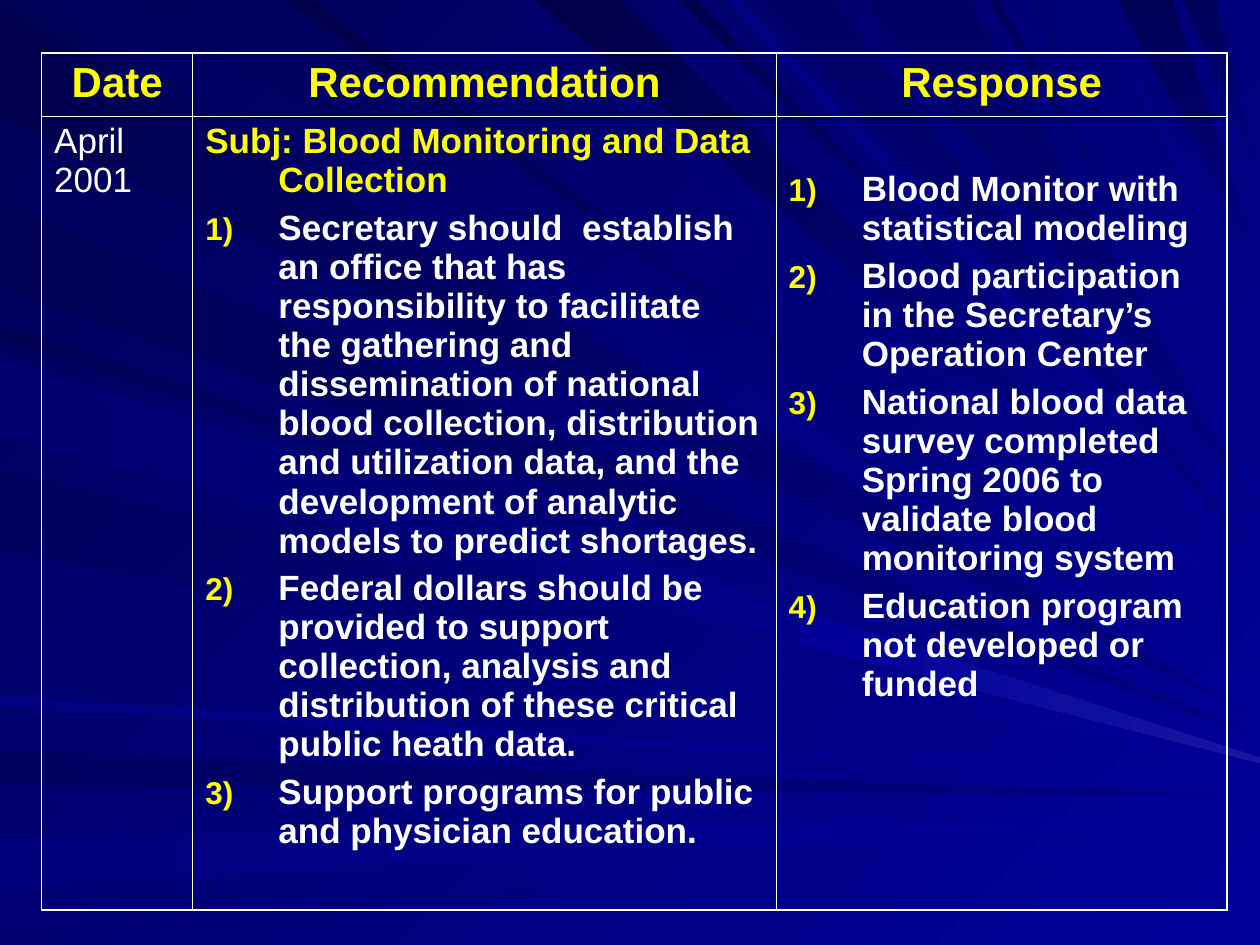
from dataclasses import dataclass

from lxml.etree import SubElement
from pptx import Presentation
from pptx.dml.color import RGBColor
from pptx.dml.fill import FillFormat
from pptx.enum.text import PP_ALIGN
from pptx.oxml.ns import qn
from pptx.util import Inches, Pt

FONT = "Arial"
YELLOW = RGBColor.from_string("FFFF00")
WHITE = RGBColor.from_string("FFFFFF")
ROYAL = RGBColor.from_string("000099")
NAVY = RGBColor.from_string("000080")
GLOW = RGBColor.from_string("1616A1")
MIDNIGHT = RGBColor.from_string("000057")

# Gradient directions, clockwise from the right
LEFT, UP_LEFT, UP = 180, 225, 270

SLIDE_W, SLIDE_H = 10, 7.5
OUTER_PT, INNER_PT = 1.08, 0.45
HANG = 0.58


@dataclass
class Ray:
    """A wedge from a stretch of the left or top edge to a tip on the right edge."""
    begin: float
    stop: float
    tip: float
    dark: str


@dataclass
class Fan:
    """Rays that start on the same edge and share a gradient direction."""
    from_top: bool
    light: RGBColor
    angle: int
    rays: list[Ray]


@dataclass
class Para:
    text: str
    color: RGBColor = WHITE
    size: int = 20
    bold: bool = True
    centered: bool = False
    hanging: bool = False
    numbered: bool = False


@dataclass
class CellText:
    paras: list[Para]
    top: float = 0.05


FANS = [
    Fan(False, NAVY, LEFT, [
        Ray(0.02, 0.93, 5.7, "000051"), Ray(5.96, 6.23, 6.32, "000060"),
        Ray(1.59, 2.28, 5.85, "000055")]),
    Fan(False, ROYAL, LEFT, [
        Ray(6.65, 7.04, 6.47, "00007C"), Ray(7.35, 7.5, 6.62, "00006E"),
        Ray(5.52, 5.6, 6.22, "000081")]),
    Fan(True, ROYAL, UP_LEFT, [
        Ray(0.26, 1.01, 5.63, "00005C"), Ray(3.98, 4.16, 5.18, "00006A"),
        Ray(4.26, 4.92, 4.93, "000046"), Ray(5.4, 5.52, 4.63, "00004E")]),
    Fan(True, NAVY, UP, [
        Ray(6.06, 6.61, 4.46, "000064"), Ray(8.87, 9.3, 2.1, "000055"),
        Ray(9.39, 9.64, 1.4, "000059"), Ray(6.86, 7.7, 4.1, "000064")]),
    Fan(False, ROYAL, UP_LEFT, [
        Ray(2.58, 2.7, 5.89, "000053"), Ray(2.78, 3.42, 6, "000060"),
        Ray(3.74, 4.37, 6.06, "00005C")]),
    Fan(True, ROYAL, UP_LEFT, [
        Ray(2.25, 2.47, 5.5, "00004A"), Ray(5.77, 5.88, 4.54, "000081"),
        Ray(7.85, 7.92, 3.57, "000057"), Ray(8.15, 8.24, 3.36, "00006E"),
        Ray(8.65, 8.72, 2.53, "000078")]),
    Fan(False, ROYAL, LEFT, [Ray(2.83, 3.47, 6.03, "00006E")]),
]
GLOW_WEDGE = [(6.37, 4.85), (6.33, 5.11), (SLIDE_W, 6.06), (SLIDE_W, 6.01)]

RECOMMENDATIONS = [
    "Secretary should  establish an office that has responsibility to facilitate the gathering and "
    "dissemination of national blood collection, distribution and utilization data, and the "
    "development of analytic models to predict shortages.",
    "Federal dollars should be provided to support collection, analysis and distribution of these "
    "critical public heath data.",
    "Support programs for public and physician education.",
]
RESPONSES = [
    "Blood Monitor with statistical modeling",
    "Blood participation in the Secretary’s Operation Center",
    "National blood data survey completed Spring 2006 to validate blood monitoring system",
    "Education program not developed or funded",
]


def numbered(items: list[str]) -> list[Para]:
    return [Para(item, hanging=True, numbered=True) for item in items]


SUBJECT = Para("Subj: Blood Monitoring and Data Collection", YELLOW, hanging=True)
ROWS = [
    [CellText([Para(title, YELLOW, size=24, centered=True)])
     for title in ("Date", "Recommendation", "Response")],
    [CellText([Para("April 2001", bold=False)]),
     CellText([SUBJECT] + numbered(RECOMMENDATIONS)),
     CellText(numbered(RESPONSES), top=0.43)],
]
COL_WIDTHS = [1.2, 4.63, 3.58]
ROW_HEIGHTS = [0.5, 6.3]


def set_gradient(fill: FillFormat, start: RGBColor, end: RGBColor, angle: int) -> None:
    fill.gradient()
    fill.gradient_angle = 360 - angle
    for stop, color in zip(fill.gradient_stops, (start, end)):
        stop.color.rgb = color


def draw_wedge(shapes, points: list[tuple[float, float]],
               start: RGBColor, end: RGBColor, angle: int) -> None:
    first, *rest = [(Inches(x), Inches(y)) for x, y in points]
    builder = shapes.build_freeform(*first)
    builder.add_line_segments(rest, close=True)
    sp = builder.convert_to_shape()
    sp.shadow.inherit = False
    sp.line.fill.background()
    set_gradient(sp.fill, start, end, angle)


def draw_fan(shapes, fan: Fan) -> None:
    for ray in fan.rays:
        ends = (ray.begin, ray.stop)
        base = [(end, 0) if fan.from_top else (0, end) for end in ends]
        draw_wedge(shapes, base + [(SLIDE_W, ray.tip)],
                   fan.light, RGBColor.from_string(ray.dark), fan.angle)


def add_border(cell, side: str, width: float) -> None:
    ln = SubElement(cell._tc.get_or_add_tcPr(), qn(f"a:ln{side}"), w=str(Pt(width)))
    SubElement(SubElement(ln, qn("a:solidFill")), qn("a:srgbClr"), val=str(WHITE))


def write_para(p, para: Para, first: bool) -> None:
    pPr = p._p.get_or_add_pPr()
    if para.hanging:
        pPr.set("marL", str(Inches(HANG)))
        pPr.set("indent", str(-Inches(HANG)))
    if para.numbered:
        SubElement(SubElement(pPr, qn("a:buClr")), qn("a:srgbClr"), val=str(YELLOW))
        SubElement(pPr, qn("a:buSzPct"), val="90000")
        SubElement(pPr, qn("a:buAutoNum"), type="arabicParenR")
    p.alignment = PP_ALIGN.CENTER if para.centered else PP_ALIGN.LEFT
    p.space_before = Pt(0 if first else 5)
    r = p.add_run()
    r.text = para.text
    r.font.name, r.font.size, r.font.bold = FONT, Pt(para.size), para.bold
    r.font.color.rgb = para.color


def draw_table(shapes) -> None:
    table = shapes.add_table(len(ROW_HEIGHTS), len(COL_WIDTHS), Inches(0.33), Inches(0.42),
                             Inches(sum(COL_WIDTHS)), Inches(sum(ROW_HEIGHTS))).table
    table.first_row = table.horz_banding = False
    for column, width in zip(table.columns, COL_WIDTHS):
        column.width = Inches(width)
    for row, height in zip(table.rows, ROW_HEIGHTS):
        row.height = Inches(height)
    last_row, last_col = len(ROW_HEIGHTS) - 1, len(COL_WIDTHS) - 1
    for i, row in enumerate(ROWS):
        for j, content in enumerate(row):
            cell = table.cell(i, j)
            outer = {"L": j == 0, "R": j == last_col, "T": i == 0, "B": i == last_row}
            for side, is_outer in outer.items():
                add_border(cell, side, OUTER_PT if is_outer else INNER_PT)
            cell.fill.background()
            cell.margin_top = Inches(content.top)
            tf = cell.text_frame
            for k, para in enumerate(content.paras):
                write_para(tf.add_paragraph() if k else tf.paragraphs[0], para, first=k == 0)


def main() -> None:
    prs = Presentation()
    prs.slide_width, prs.slide_height = Inches(SLIDE_W), Inches(SLIDE_H)
    s = prs.slides.add_slide(prs.slide_layouts[6])
    # Background with rays
    set_gradient(s.background.fill, ROYAL, MIDNIGHT, UP_LEFT)
    for fan in FANS:
        draw_fan(s.shapes, fan)
    draw_wedge(s.shapes, GLOW_WEDGE, GLOW, ROYAL, LEFT)
    # Recommendations and responses
    draw_table(s.shapes)
    prs.save("out.pptx")


if __name__ == "__main__":
    main()
